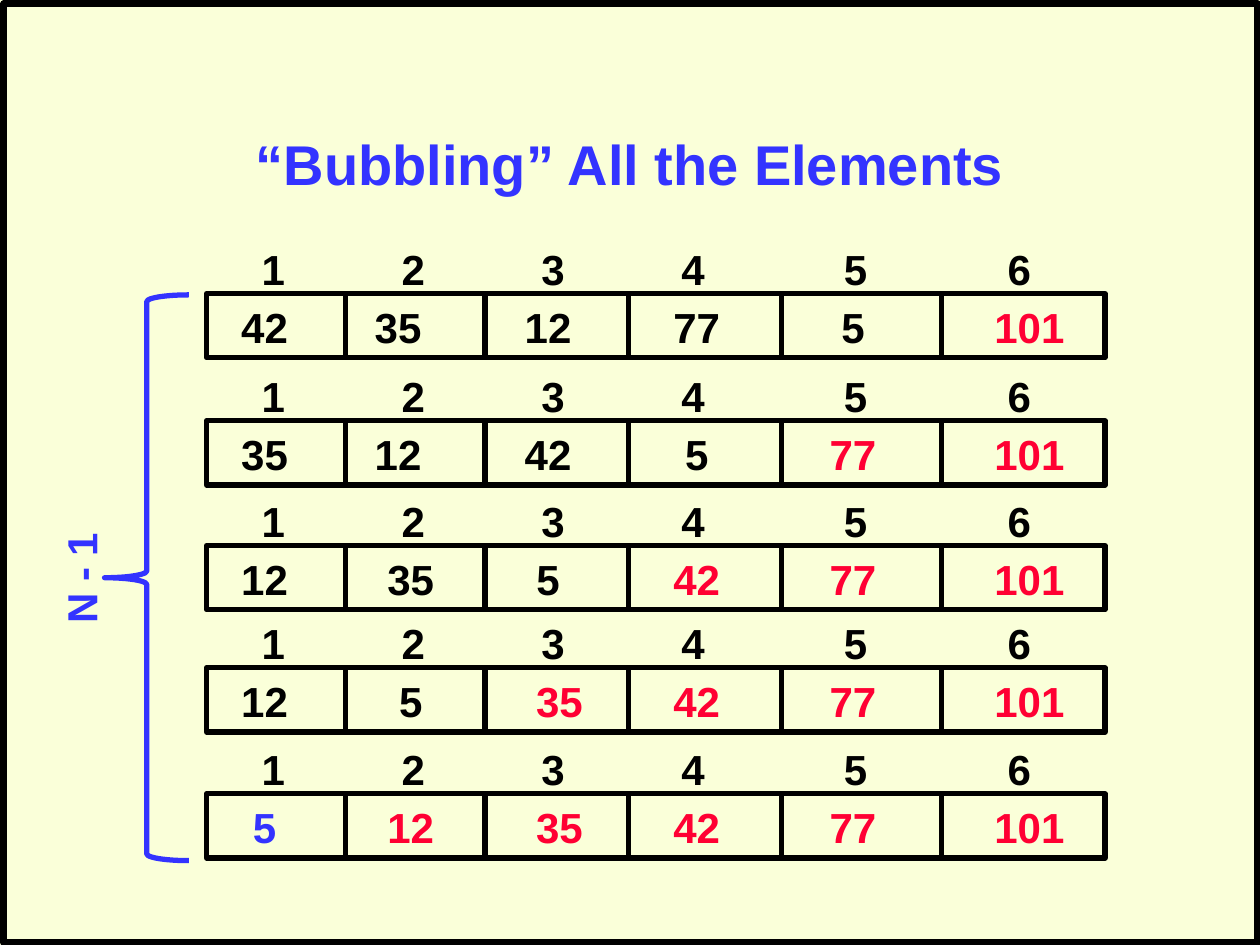
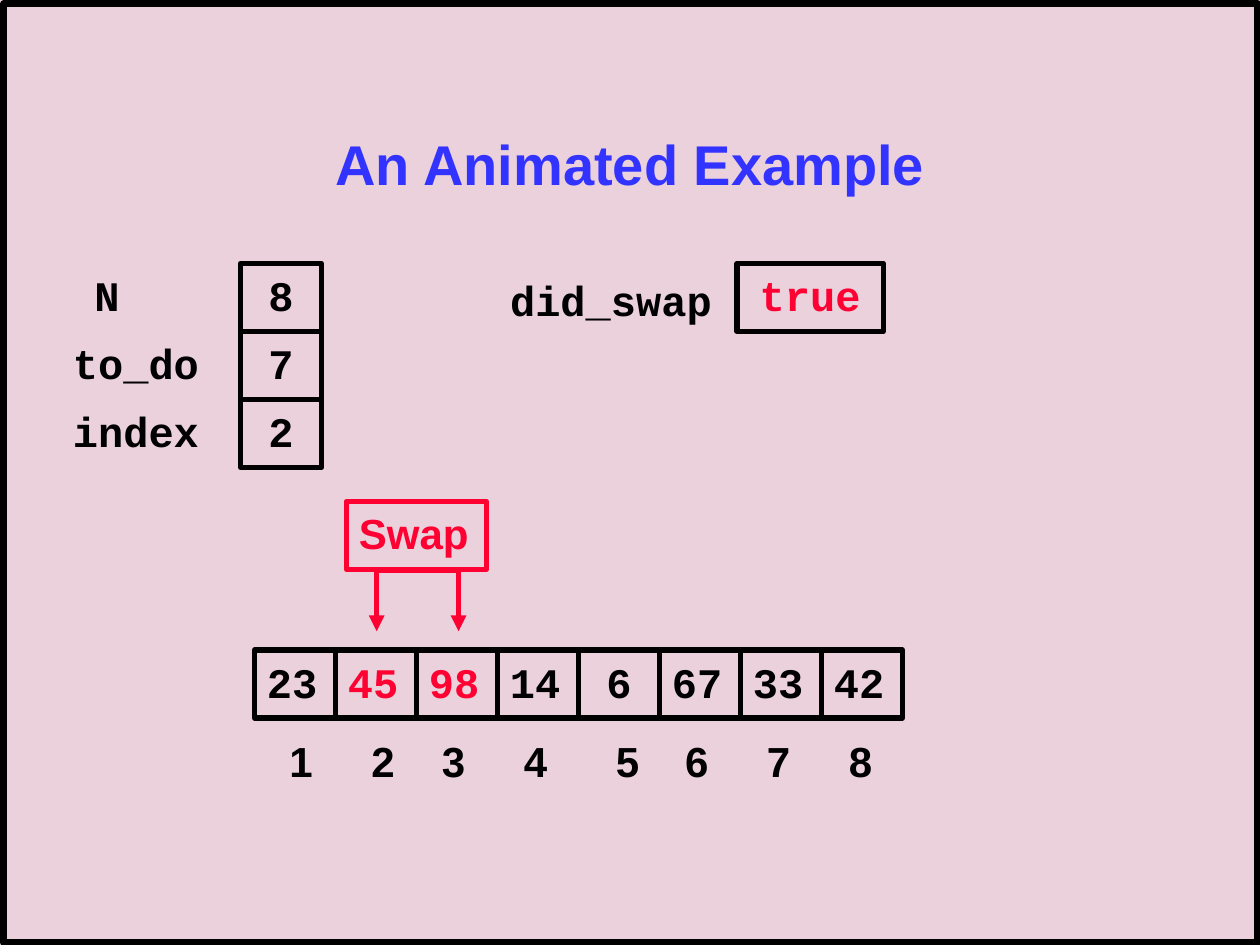
"""Build two slides that explain bubble sort."""
import pptx
import pptx.dml.color
import pptx.enum.shapes
import pptx.enum.text
import pptx.oxml
import pptx.oxml.ns
import pptx.util

Inches = pptx.util.Inches
Pt = pptx.util.Pt
SHAPES = pptx.enum.shapes.MSO_SHAPE
ALIGN = pptx.enum.text.PP_ALIGN
ANCHOR = pptx.enum.text.MSO_ANCHOR

COLORS = {
    "ink": "000000",
    "blue": "3333FF",
    "red": "FF0033",
    "cream": "FAFFD9",
    "pink": "EAD1DC",
}
BODY_FONT = {"name": "Arial", "size": Pt(24), "bold": True}
CODE_FONT = {**BODY_FONT, "name": "Courier New"}
TITLE_FONT = {**BODY_FONT, "size": Pt(32)}
TITLE_BOX = {"left": Inches(0.75), "top": Inches(0.67),
             "width": Inches(8.5), "height": Inches(1.25)}

COLUMN_EDGES = [1.64, 2.74, 3.85, 4.99, 6.2, 7.47, 8.77]
INDEX_CENTERS = [2.17, 3.28, 4.39, 5.5, 6.79, 8.09]
PASSES = [
    (2.33, [42, 35, 12, 77, 5, 101], 3.16, 4.35),
    (3.34, [35, 12, 42, 5, 77, 101], 3.16, 4.35),
    (4.33, [12, 35, 5, 42, 77, 101], 3.26, 4.35),
    (5.3, [12, 5, 35, 42, 77, 101], 3.26, 4.44),
    (6.3, [5, 12, 35, 42, 77, 101], 3.26, 4.44),
]
ROW_HEIGHT = 0.51

NUMBERS = [23, 45, 98, 14, 6, 67, 33, 42]
SWAPPED = (45, 98)
POSITION_CENTERS = [2.39, 3.04, 3.6, 4.25, 4.98, 5.53, 6.18, 6.83]
CELL_PITCH = 4.5 / 7
CELL_HEIGHT = 0.54


def rgb(color):
    """Return the named colour."""
    return pptx.dml.color.RGBColor.from_string(COLORS[color])


def apply_format(target, values):
    """Set each value of a format dict on the target."""
    for attribute, value in values.items():
        setattr(target, attribute, value)


def write(frame, text, font, color, align, anchor=ANCHOR.TOP):
    """Write one formatted paragraph."""
    apply_format(frame, {"text": text, "word_wrap": False, "vertical_anchor": anchor})
    paragraph = frame.paragraphs[0]
    paragraph.alignment = align
    run_font = paragraph.runs[0].font
    apply_format(run_font, font)
    run_font.color.rgb = rgb(color)


def add_outline(shapes, box, color="ink", kind=SHAPES.RECTANGLE, weight=3):
    """Add an unfilled shape with a coloured outline."""
    outline = shapes.add_shape(kind, *map(Inches, box))
    outline.shadow.inherit = False
    outline.fill.background()
    outline.line.color.rgb = rgb(color)
    outline.line.width = Pt(weight)
    return outline


def add_cell(shapes, text, box, color="ink", font=CODE_FONT, align=ALIGN.CENTER,
             outline="ink"):
    """Add an outlined box that holds a value."""
    cell = add_outline(shapes, box, outline)
    write(cell.text_frame, text, font, color, align)


def add_label(shapes, text, left, top, width, color="ink", font=BODY_FONT,
              align=ALIGN.LEFT):
    """Add a line of free text."""
    label = shapes.add_textbox(*map(Inches, (left, top, width, 0.5)))
    write(label.text_frame, text, font, color, align)
    return label


def add_centered(shapes, text, center, top, color="ink"):
    """Add a number centred on a horizontal position."""
    add_label(shapes, text, center - 0.4, top, 0.8, color, align=ALIGN.CENTER)


def add_line(shapes, start, end, color="ink", arrow=False):
    """Add a straight line, with an arrowhead at its end if asked."""
    line = shapes.add_connector(pptx.enum.shapes.MSO_CONNECTOR.STRAIGHT,
                                *map(Inches, (*start, *end)))
    line.line.color.rgb = rgb(color)
    line.line.width = Pt(3)
    properties = line.element.spPr
    namespace = pptx.oxml.ns.nsdecls("a")
    if arrow:
        properties.find(pptx.oxml.ns.qn("a:ln")).append(
            pptx.oxml.parse_xml(f'<a:tailEnd {namespace} type="triangle"/>'))
    properties.append(pptx.oxml.parse_xml(f"<a:effectLst {namespace}/>"))


def add_slide(deck, title, background):
    """Add a slide with the shared title style."""
    slide = deck.slides.add_slide(deck.slide_layouts[5])
    slide.background.fill.solid()
    slide.background.fill.fore_color.rgb = rgb(background)
    heading = slide.shapes.title
    apply_format(heading, TITLE_BOX)
    write(heading.text_frame, title, TITLE_FONT, "blue", ALIGN.CENTER, ANCHOR.MIDDLE)
    heading.text_frame.word_wrap = True
    return slide


def add_master_border(deck, slide):
    """Put the black border on the slide master."""
    border = add_outline(slide.shapes, (0.03, 0.03, 9.95, 7.45), weight=3.75)
    border.element.nvSpPr.cNvPr.set("id", "100")
    deck.slide_master.element.cSld.spTree.append(border.element)


def add_pass(slide, number, top, values, second_center, third_center):
    """Add the array as it stands after one pass."""
    shapes = slide.shapes.add_group_shape().shapes
    left, right = COLUMN_EDGES[0], COLUMN_EDGES[-1]
    add_outline(shapes, (left, top, right - left, ROW_HEIGHT))
    for edge in COLUMN_EDGES[1:-1]:
        add_line(shapes, (edge, top), (edge, top + ROW_HEIGHT))
    value_centers = [2.1, second_center, third_center, 5.53, 6.77, 8.17]
    first_sorted = len(values) - number
    for column, value in enumerate(values):
        color = "red" if column >= first_sorted else "ink"
        if number == len(PASSES) and column == 0:
            color = "blue"
        add_centered(shapes, str(column + 1), INDEX_CENTERS[column], top - 0.45)
        add_centered(shapes, str(value), value_centers[column], top + 0.01, color)


def build_all_passes(slide):
    """Show every pass, bracketed by the number of passes."""
    for number, bubble_pass in enumerate(PASSES, 1):
        add_pass(slide, number, *bubble_pass)
    shapes = slide.shapes.add_group_shape().shapes
    brace = add_outline(shapes, (0.83, 2.34, 0.67, 4.49), "blue", SHAPES.LEFT_BRACE)
    brace.adjustments[0] = 0.08
    pass_count = add_label(shapes, "N - 1", 0.18, 4.34, 0.92, "blue")
    pass_count.rotation = 270


def build_swap_step(slide):
    """Show the variables and the array during one swap."""
    shapes = slide.shapes
    variables = [("N", "8", 0.65), ("to_do", "7", 0.48), ("index", "2", 0.48)]
    for row, (name, value, left) in enumerate(variables):
        top = 2.09 + row * CELL_HEIGHT
        add_label(shapes, name, left, top, 1.38, font=CODE_FONT)
        add_cell(shapes, value, (1.91, top, 0.64, CELL_HEIGHT))
    add_label(shapes, "did_swap", 3.95, 2.13, 2.6, font=CODE_FONT)
    add_cell(shapes, "true", (5.85, 2.09, 1.16, CELL_HEIGHT), "red")

    for column, number in enumerate(NUMBERS):
        box = (2.02 + column * CELL_PITCH, 5.16, CELL_PITCH, CELL_HEIGHT)
        align = ALIGN.LEFT if number > 9 else ALIGN.CENTER
        add_cell(shapes, str(number), box, "red" if number in SWAPPED else "ink",
                 align=align)
        add_centered(shapes, str(column + 1), POSITION_CENTERS[column], 5.79)

    arrows = shapes.add_group_shape().shapes
    for x in (2.99, 3.64):
        add_line(arrows, (x, 4.53), (x, 5.01), "red", arrow=True)
    add_line(arrows, (2.99, 4.53), (3.64, 4.53), "red")
    add_cell(shapes, "Swap", (2.75, 3.98, 1.11, CELL_HEIGHT), "red", BODY_FONT,
             ALIGN.LEFT, "red")


def main():
    """Build and save the deck."""
    deck = pptx.Presentation()
    apply_format(deck, {"slide_width": Inches(10), "slide_height": Inches(7.5)})
    passes = add_slide(deck, "“Bubbling” All the Elements", "cream")
    add_master_border(deck, passes)
    build_all_passes(passes)
    build_swap_step(add_slide(deck, "An Animated Example", "pink"))
    deck.save("out.pptx")


if __name__ == "__main__":
    main()
